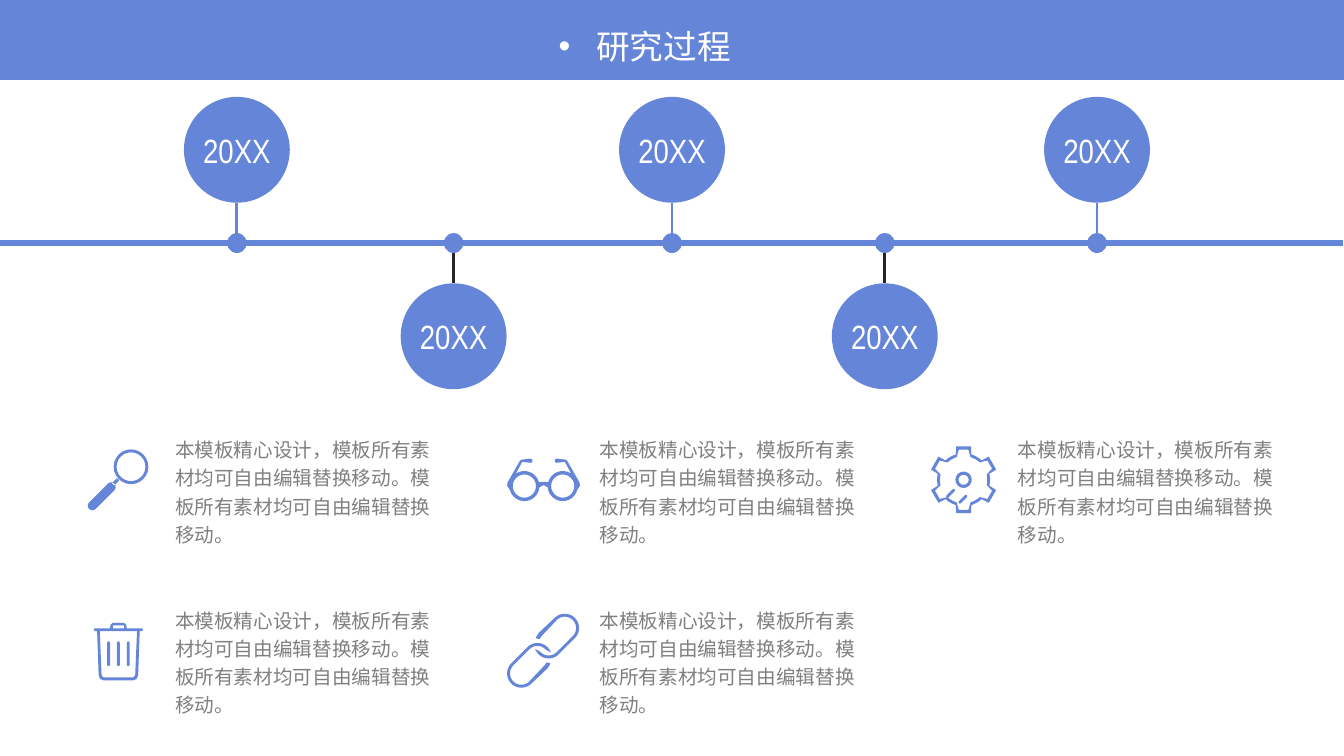
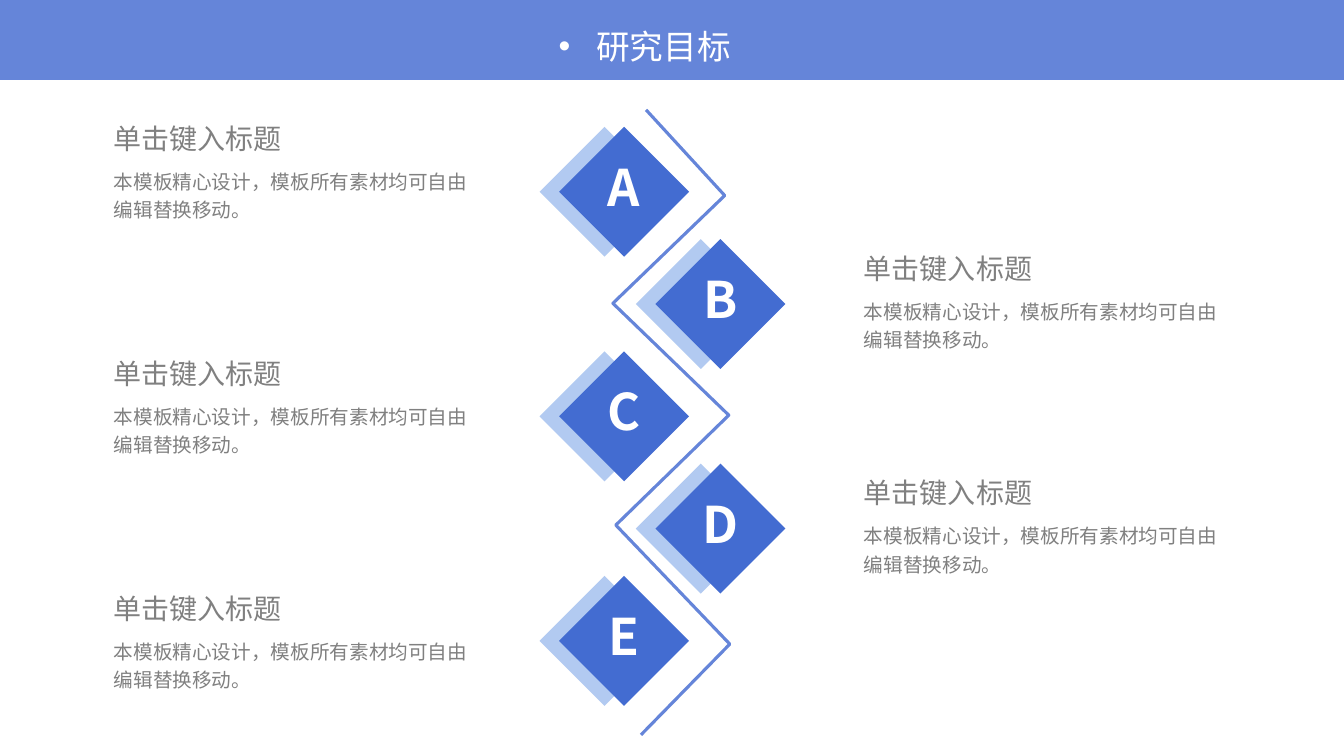
from math import cos, radians, sin

from lxml.etree import SubElement
from pptx import Presentation
from pptx.dml.color import RGBColor
from pptx.enum.shapes import MSO_CONNECTOR, MSO_SHAPE
from pptx.enum.text import MSO_ANCHOR, PP_ALIGN
from pptx.oxml.ns import qn
from pptx.util import Pt

COLORS = {
    "main": "6585D9",
    "deep": "436CD1",
    "pale": "B2CAF1",
    "dark": "262626",
    "grey": "808080",
    "white": "FFFFFF",
}
CJK_FONT = "Noto Sans CJK SC"
YEAR_FONT = "Arial Narrow"
SENTENCE = "本模板精心设计，模板所有素材均可自由编辑替换移动。"
LONG_TEXT = SENTENCE + "模板所有素材均可自由编辑替换移动。"
HEADING = "单击键入标题"
UNITS_PER_POINT = 100


def rgb(color):
    return RGBColor.from_string(COLORS[color])


def style_paragraph(paragraph, size, color, font=CJK_FONT, bold=None):
    paragraph.font.size = Pt(size)
    paragraph.font.bold = bold
    paragraph.font.color.rgb = rgb(color)
    paragraph.font.name = font
    defaults = paragraph._p.pPr.find(qn("a:defRPr"))
    SubElement(defaults, qn("a:ea")).set("typeface", font)


def add_text(page, left, top, width, height, text, size, color="grey"):
    box = page.shapes.add_textbox(Pt(left), Pt(top), Pt(width), Pt(height))
    box.text_frame.word_wrap = True
    paragraph = box.text_frame.paragraphs[0]
    paragraph.text = text
    paragraph.line_spacing = 1.2
    style_paragraph(paragraph, size, color)


def add_filled(page, preset, left, top, width, height, color):
    shape = page.shapes.add_shape(preset, Pt(left), Pt(top), Pt(width), Pt(height))
    shape.shadow.inherit = False
    shape.fill.solid()
    shape.fill.fore_color.rgb = rgb(color)
    shape.line.fill.background()
    return shape


def label_shape(shape, text, size, font, bold=None, lift=0):
    frame = shape.text_frame
    frame.word_wrap = False
    frame.vertical_anchor = MSO_ANCHOR.MIDDLE
    frame.margin_left = frame.margin_right = frame.margin_top = 0
    frame.margin_bottom = Pt(2 * lift)
    paragraph = frame.paragraphs[0]
    paragraph.text = text
    paragraph.alignment = PP_ALIGN.CENTER
    style_paragraph(paragraph, size, "white", font, bold)


def add_line(page, start, end, color, width):
    line = page.shapes.add_connector(
        MSO_CONNECTOR.STRAIGHT, *(Pt(value) for value in (*start, *end))
    )
    line.line.color.rgb = rgb(color)
    line.line.width = Pt(width)
    SubElement(line._element.spPr, qn("a:effectLst"))


def add_outline(page, left, top, contours, closed=True):
    scaled = [
        [(x * UNITS_PER_POINT, y * UNITS_PER_POINT) for x, y in contour]
        for contour in contours
    ]
    builder = page.shapes.build_freeform(*scaled[0][0], scale=Pt(1) / UNITS_PER_POINT)
    builder.add_line_segments(scaled[0][1:], close=closed)
    for contour in scaled[1:]:
        builder.move_to(*contour[0])
        builder.add_line_segments(contour[1:], close=closed)
    shape = builder.convert_to_shape(Pt(left), Pt(top))
    shape.shadow.inherit = False
    return shape


def add_icon(page, left, top, contours):
    icon = add_outline(page, left, top, contours)
    icon.fill.solid()
    icon.fill.fore_color.rgb = rgb("main")
    icon.line.fill.background()


def arc(x, y, radius, start=0, stop=360, steps=24):
    angles = [radians(start + (stop - start) * i / steps) for i in range(steps + 1)]
    return [(x + radius * cos(angle), y + radius * sin(angle)) for angle in angles]


def capsule(start, end, radius, angle):
    return arc(*start, radius, angle + 90, angle + 270, 8) + arc(
        *end, radius, angle - 90, angle + 90, 8
    )


def mirrored(half, axis):
    return half + [(2 * axis - x, y) for x, y in reversed(half)]


def magnifier_contours():
    lens = (31, 12.4)
    neck = [(17.3, 24.1), (20.9, 20.7), (22.5, 22.3), (19, 25.8)]
    handle = capsule((3.4, 40.2), (16.8, 26.8), 3.3, -45)
    return [arc(*lens, 12.4), arc(*lens, 10.3), neck, handle]


def glasses_contours():
    axis, lens = 26, (12.3, 19.6)
    temple = [
        (0, 19.4), (0.3, 17), (9.2, 1.4), (10.5, 0.7), (16.6, 0), (18, 0.7),
        (18, 2.3), (16.8, 3), (10.8, 2.3), (6.5, 10.2),
    ]
    half = [(axis, 18.9), *arc(*lens, 10.7, 5, 165), *temple]
    half += [*arc(*lens, 10.7, 238, 345), (axis, 16.6)]
    hole = arc(*lens, 8.3)
    return [mirrored(half, axis), hole, [(2 * axis - x, y) for x, y in hole]]


def gear_outline(root, tip, half_width):
    points = []
    for angle in range(-90, 270, 60):
        turn = radians(angle)
        for along, across in ((tip, -half_width), (tip, half_width)):
            points.append((
                along * cos(turn) - across * sin(turn),
                along * sin(turn) + across * cos(turn),
            ))
        points += arc(0, 0, root, angle + 17, angle + 43, 6)
    return points


def gear_contours():
    return [
        gear_outline(18.9, 23.8, 5.3),
        gear_outline(16.9, 21.6, 3.4),
        arc(0, 0, 5.8),
        arc(0, 0, 3.6),
        capsule((-11.4, 11.8), (-7.2, 7.6), 1, -45),
        capsule((-2.6, 16), (1.6, 11.8), 1, -45),
    ]


def bin_contours():
    axis = 17.6
    body = [
        (axis, 0), (13.5, 0), (12, 1.2), (11.7, 3.8), (0.6, 3.8), (0, 4.8),
        (0.6, 5.8), (2.4, 5.8), (3.5, 37.4), (4.6, 40), (7, 41), (axis, 41),
    ]
    inside = [(axis, 5.8), (4.3, 5.8), (5.6, 37.4), (7, 38.9), (axis, 38.9)]
    lid = [(axis, 1.8), (13.6, 1.8), (13.6, 3.8), (axis, 3.8)]
    bars = [capsule((x, 14.2), (x, 29.8), 1, 90) for x in (10.6, 17.6, 24.6)]
    return [mirrored(half, axis) for half in (body, inside, lid)] + bars


def chain_contours():
    far, near = (-15.5, 16.2), (-4, 4.7)
    link = arc(*far, 10.2, 45, 225) + arc(*near, 10.2, 225, 340)
    link += arc(*near, 8.1, 318, 225) + arc(*far, 8.1, 225, 45)
    link += [(1.1, 10.4), (2.5, 8.3), (5.4, 9), (3.2, 12.6)]
    return [link, [(-x, -y) for x, y in link]]


def add_page(deck, title):
    page = deck.slides.add_slide(deck.slide_layouts[6])
    box = page.shapes.add_textbox(Pt(399), Pt(15), Pt(161), Pt(36))
    frame = box.text_frame
    frame.word_wrap = True
    frame.margin_left = 0
    paragraph = frame.paragraphs[0]
    paragraph.text = title
    paragraph.alignment = PP_ALIGN.JUSTIFY
    properties = paragraph._p.get_or_add_pPr()
    properties.set("marL", str(Pt(27)))
    properties.set("indent", str(-Pt(27)))
    SubElement(properties, qn("a:buFont")).set("typeface", "Arial")
    SubElement(properties, qn("a:buChar")).set("char", "•")
    style_paragraph(paragraph, 24, "white")
    return page


def move_band_to_layout(deck, page):
    layout = page.slide_layout
    for placeholder in list(layout.placeholders):
        layout.shapes.element.remove(placeholder.element)
    band = add_filled(page, MSO_SHAPE.RECTANGLE, 0, 0, 960, 57, "main")
    layout.shapes.element.append(band.element)


def add_milestone(page, x, axis, side):
    radius, dot_radius = 37.8, 7.1
    center = axis + side * 66.6
    stem_color = "main" if side < 0 else "dark"
    add_line(page, (x, axis), (x, center - side * radius), stem_color, 2)
    for y, size in ((axis, dot_radius), (center, radius)):
        circle = add_filled(
            page, MSO_SHAPE.OVAL, x - size, y - size, 2 * size, 2 * size, "main"
        )
    label_shape(circle, "20XX", 24, YEAR_FONT)


def add_process(page):
    axis = 173.6
    add_line(page, (0, axis), (959, axis), "main", 4)
    for x, side in ((169.2, -1), (324, 1), (480, -1), (632, 1), (783.6, -1)):
        add_milestone(page, x, axis, side)
    for left, top in ((118, 306), (118, 427.7), (421.2, 306), (421.2, 427.7), (720, 306)):
        add_text(page, left, top, 210, 87, LONG_TEXT, 14)
    add_icon(page, 62.6, 321, magnifier_contours())
    add_icon(page, 362.3, 327.6, glasses_contours())
    add_icon(page, 688.3, 342.7, gear_contours())
    add_icon(page, 67, 445, bin_contours())
    add_icon(page, 387.9, 464.8, chain_contours())


def add_goals(page):
    size = 92.8
    corners = [(385.4 + 68.8 * (i % 2), 90.6 + 80.2 * i) for i in range(5)]
    for left, top in corners:
        add_filled(page, MSO_SHAPE.DIAMOND, left, top, size, size, "pale")
    for (left, top), letter in zip(corners, "ABCDE"):
        diamond = add_filled(
            page, MSO_SHAPE.DIAMOND, left + 14, top, size, size, "deep"
        )
        label_shape(diamond, letter, 36, CJK_FONT, True, lift=4)
    zigzag = [
        (461.5, 78.5), (517.7, 139.7), (437.8, 216.7), (520.6, 296.6),
        (439.9, 375.1), (521.3, 460.1), (457.9, 524.9),
    ]
    line = add_outline(page, 0, 0, [zigzag], closed=False)
    line.fill.background()
    line.line.color.rgb = rgb("main")
    line.line.width = Pt(2.25)
    left_goals = [(74.2, 78.5 + 167.8 * i) for i in range(3)]
    right_goals = [(610, 171 + 160.6 * i) for i in range(2)]
    for left, top in left_goals + right_goals:
        add_text(page, left, top, 158, 34, HEADING, 20)
        add_text(page, left, top + 36, 274, 47, SENTENCE, 14)


def main():
    deck = Presentation()
    deck.slide_width, deck.slide_height = Pt(960), Pt(540)
    process = add_page(deck, "研究过程")
    move_band_to_layout(deck, process)
    add_process(process)
    add_goals(add_page(deck, "研究目标"))
    deck.save("out.pptx")


if __name__ == "__main__":
    main()
